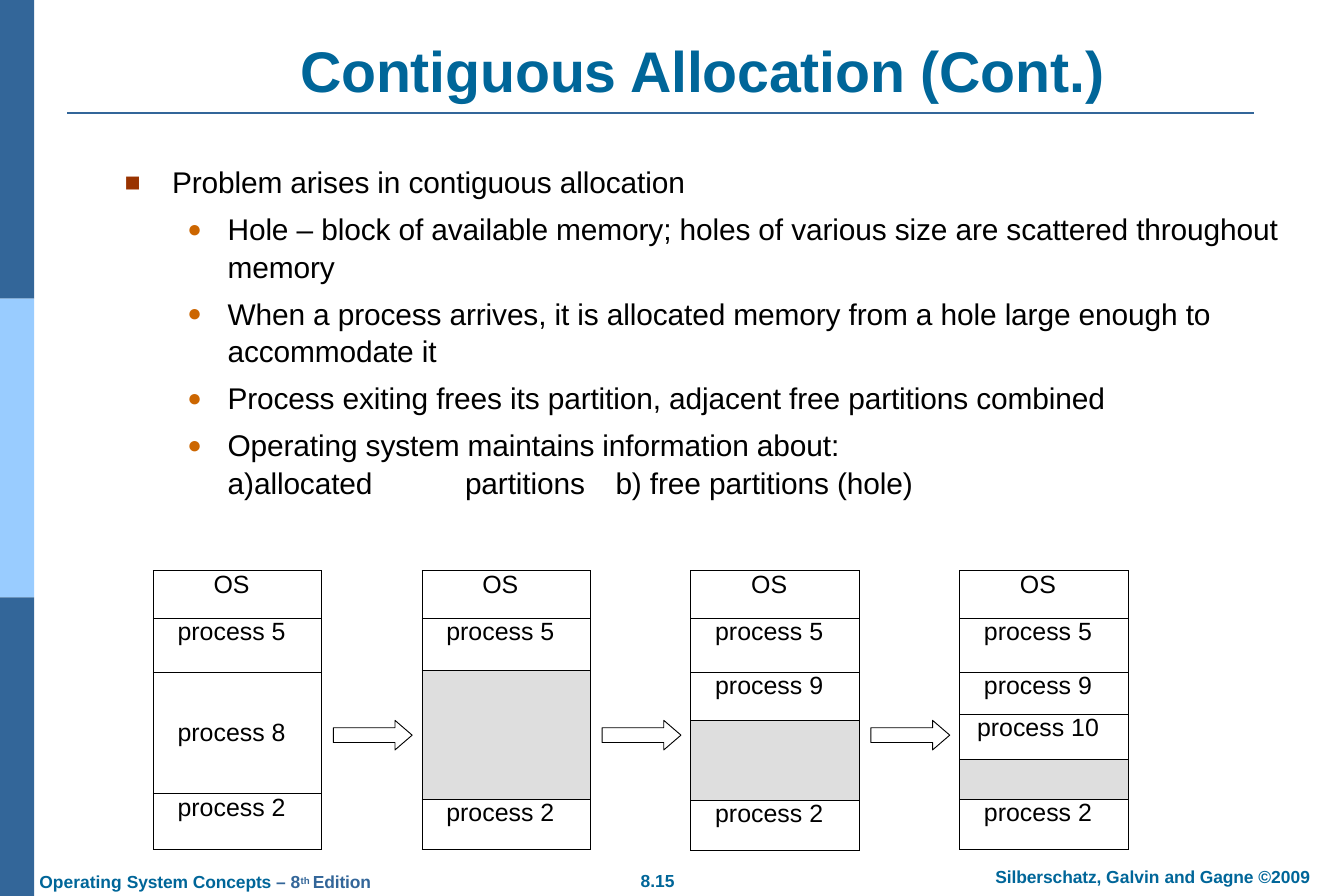
import pptx
import pptx.dml.color
import pptx.enum.shapes
import pptx.enum.text
import pptx.oxml
import pptx.oxml.ns
import pptx.util

COLUMNS, ROWS = 15, 10
WIDTH, HEIGHT = pptx.util.Inches(15), pptx.util.Inches(10)
FONT = "Arial"
COLORS = {
    "bar": "336699",
    "bar_light": "99CCFF",
    "heading": "006699",
    "text": "000000",
    "square": "993300",
    "dot": "CC6600",
    "hole": "DEDEDE",
}
HOLE = ""
FIRST_MEMORY, MEMORY_STEP, MEMORY_TOP, MEMORY_WIDTH = 1.71, 3, 6.37, 1.88

POINTS = [
    "Hole – block of available memory; holes of various size are scattered throughout memory",
    "When a process arrives, it is allocated memory from a hole large enough to accommodate it",
    "Process exiting frees its partition, adjacent free partitions combined",
    "Operating system maintains information about:",
]
MEMORIES = [
    [("OS", 0.53), ("process 5", 0.6), ("process 8", 1.36), ("process 2", 0.62)],
    [("OS", 0.53), ("process 5", 0.58), (HOLE, 1.44), ("process 2", 0.56)],
    [("OS", 0.53), ("process 5", 0.6), ("process 9", 0.54), (HOLE, 0.89), ("process 2", 0.56)],
    [("OS", 0.53), ("process 5", 0.6), ("process 9", 0.47), ("process 10", 0.51),
     (HOLE, 0.44), ("process 2", 0.56)],
]


def column(count):
    return round(WIDTH * count / COLUMNS)


def row(count):
    return round(HEIGHT * count / ROWS)


def area(left, top, width, height):
    return column(left), row(top), column(width), row(height)


def rgb(name):
    return pptx.dml.color.RGBColor.from_string(COLORS[name])


def append_xml(parent, tag, content="", **attributes):
    listed = "".join(f' {key}="{value}"' for key, value in attributes.items())
    namespace = pptx.oxml.ns.nsdecls("a")
    parent.append(pptx.oxml.parse_xml(f"<a:{tag} {namespace}{listed}>{content}</a:{tag}>"))


def add_run(paragraph, text, size, color="text", bold=False, spacing=0):
    run = paragraph.add_run()
    run.text = text
    run.font.name = FONT
    run.font.size = pptx.util.Pt(size)
    run.font.bold = bold
    run.font.color.rgb = rgb(color)
    properties = run.font._element
    if spacing:
        properties.set("spc", str(round(spacing * 100)))
    return properties


def prepare_frame(shape):
    frame = shape.text_frame
    frame.margin_left = frame.margin_right = frame.margin_top = frame.margin_bottom = 0
    frame.word_wrap = True
    frame.auto_size = pptx.enum.text.MSO_AUTO_SIZE.NONE
    frame.vertical_anchor = pptx.enum.text.MSO_ANCHOR.TOP
    return frame


def place(shape, left, top, width, height):
    shape.left, shape.top, shape.width, shape.height = area(left, top, width, height)
    return prepare_frame(shape)


def set_indent(paragraph, left, first):
    properties = paragraph._p.get_or_add_pPr()
    properties.set("marL", str(column(left)))
    properties.set("indent", str(column(first)))
    return properties


def add_bar(slide, index, color):
    third = ROWS / 3
    shape = slide.shapes.add_shape(
        pptx.enum.shapes.MSO_SHAPE.RECTANGLE, *area(0, index * third, 0.38, third))
    shape.shadow.inherit = False
    shape.fill.solid()
    shape.fill.fore_color.rgb = rgb(color)
    shape.line.fill.background()


def add_rule(slide):
    connector = slide.shapes.add_connector(
        pptx.enum.shapes.MSO_CONNECTOR.STRAIGHT,
        column(0.75), row(1.26), column(14), row(1.26))
    connector.line.color.rgb = rgb("bar")
    connector.line.width = pptx.util.Pt(1.5)
    append_xml(connector._element.spPr, "effectLst")


def fill_title(slide):
    frame = place(slide.shapes.title, 0.69, 0.39, 13.62, 0.77)
    paragraph = frame.paragraphs[0]
    paragraph.alignment = pptx.enum.text.PP_ALIGN.LEFT
    set_indent(paragraph, 2.66, 0)
    add_run(paragraph, "Contiguous Allocation (Cont.)", 46, "heading", True, -0.1)


def add_point(paragraph, text, level, left, first, before):
    paragraph.level = level
    paragraph.line_spacing = 1.05
    paragraph.space_before = pptx.util.Pt(before)
    add_run(paragraph, text, 24, spacing=-0.1)
    return set_indent(paragraph, left, first)


def add_bullet(properties, symbol, color, percent):
    append_xml(properties, "buClr", f'<a:srgbClr val="{COLORS[color]}"/>')
    append_xml(properties, "buSzPct", val=percent * 1000)
    append_xml(properties, "buFont", typeface=FONT)
    append_xml(properties, "buChar", char=symbol)


def fill_body(slide):
    frame = place(slide.placeholders[1], 1.37, 1.81, 13.28, 3.68)
    heading = add_point(
        frame.paragraphs[0], "Problem arises in contiguous allocation", 0, 0.55, -0.53, 0)
    add_bullet(heading, "■", "square", 89)
    for text in POINTS:
        properties = add_point(frame.add_paragraph(), text, 1, 1.17, -0.45, 7.5)
        add_bullet(properties, "●", "dot", 81)
    properties = add_point(
        frame.add_paragraph(), "allocated\tpartitions\tb) free partitions (hole)",
        2, 1.46, -0.29, 0)
    append_xml(properties, "buFont", typeface=FONT)
    append_xml(properties, "buAutoNum", type="alphaLcParenR")
    stops = "".join(f'<a:tab pos="{column(stop)}" algn="l"/>' for stop in (1.92, 3.82))
    append_xml(properties, "tabLst", stops)


def format_cell(cell, text):
    cell.margin_left = cell.margin_top = cell.margin_bottom = 0
    cell.margin_right = column(0.13)
    line = f'<a:solidFill><a:srgbClr val="{COLORS["text"]}"/></a:solidFill>'
    for side in ("lnL", "lnR", "lnT", "lnB"):
        append_xml(cell._tc.get_or_add_tcPr(), side, line, w=pptx.util.Pt(0.75))
    if text == HOLE:
        cell.fill.solid()
        cell.fill.fore_color.rgb = rgb("hole")
        return
    cell.fill.background()
    if text == "process 8":
        cell.vertical_anchor = pptx.enum.text.MSO_ANCHOR.MIDDLE
    paragraph = cell.text_frame.paragraphs[0]
    paragraph.alignment = pptx.enum.text.PP_ALIGN.CENTER
    add_run(paragraph, text, 20)


def add_memory(slide, index, blocks):
    total = sum(height for _, height in blocks)
    left = FIRST_MEMORY + index * MEMORY_STEP
    table = slide.shapes.add_table(
        len(blocks), 1, *area(left, MEMORY_TOP, MEMORY_WIDTH, total)).table
    table.first_row = table.horz_banding = False
    for position, (text, height) in enumerate(blocks):
        table.rows[position].height = row(height)
        format_cell(table.cell(position, 0), text)


def add_arrow(slide, index):
    left = FIRST_MEMORY + MEMORY_WIDTH + 0.13 + index * MEMORY_STEP
    arrow = slide.shapes.add_shape(
        pptx.enum.shapes.MSO_SHAPE.RIGHT_ARROW, *area(left, 8.04, 0.88, 0.33))
    arrow.adjustments[1] = 0.58
    arrow.shadow.inherit = False
    arrow.fill.background()
    arrow.line.color.rgb = rgb("text")
    arrow.line.width = pptx.util.Pt(0.75)


def add_footer(slide, left, top, width, height, leading):
    box = slide.shapes.add_textbox(*area(left, top, width, height))
    paragraph = prepare_frame(box).paragraphs[0]
    paragraph.line_spacing = pptx.util.Pt(leading)
    set_indent(paragraph, 0.01, 0)
    return paragraph


def add_footers(slide):
    authors = add_footer(slide, 11.1, 9.69, 3.55, 0.22, 15.2)
    for text, spacing in (("Silberschatz, ", -0.1), ("Galvin ", 0),
                          ("and Gagne ", -0.1), ("©2009", 0)):
        add_run(authors, text, 14, "heading", True, spacing)
    book = add_footer(slide, 0.43, 9.74, 3.78, 0.23, 15.6)
    add_run(book, "Operating ", 14, "heading", True)
    add_run(book, "System Concepts ", 14, "heading", True, -0.1)
    add_run(book, "– ", 14, "bar", True)
    add_run(book, "8", 14, "bar", True, 0.1)
    add_run(book, "th ", 13.5, "bar", True, 0.1).set("baseline", "25000")
    add_run(book, "Edition", 14, "bar", True, -0.1)
    number = add_footer(slide, 7.14, 9.73, 0.42, 0.22, 15.2)
    add_run(number, "8.15", 14, "heading", True)


def main():
    presentation = pptx.Presentation()
    presentation.slide_width, presentation.slide_height = WIDTH, HEIGHT
    slide = presentation.slides.add_slide(presentation.slide_layouts[1])
    for index, color in enumerate(("bar", "bar_light", "bar")):
        add_bar(slide, index, color)
    add_rule(slide)
    fill_title(slide)
    fill_body(slide)
    for index, blocks in enumerate(MEMORIES):
        add_memory(slide, index, blocks)
    for index in range(len(MEMORIES) - 1):
        add_arrow(slide, index)
    add_footers(slide)
    presentation.save("out.pptx")


if __name__ == "__main__":
    main()
